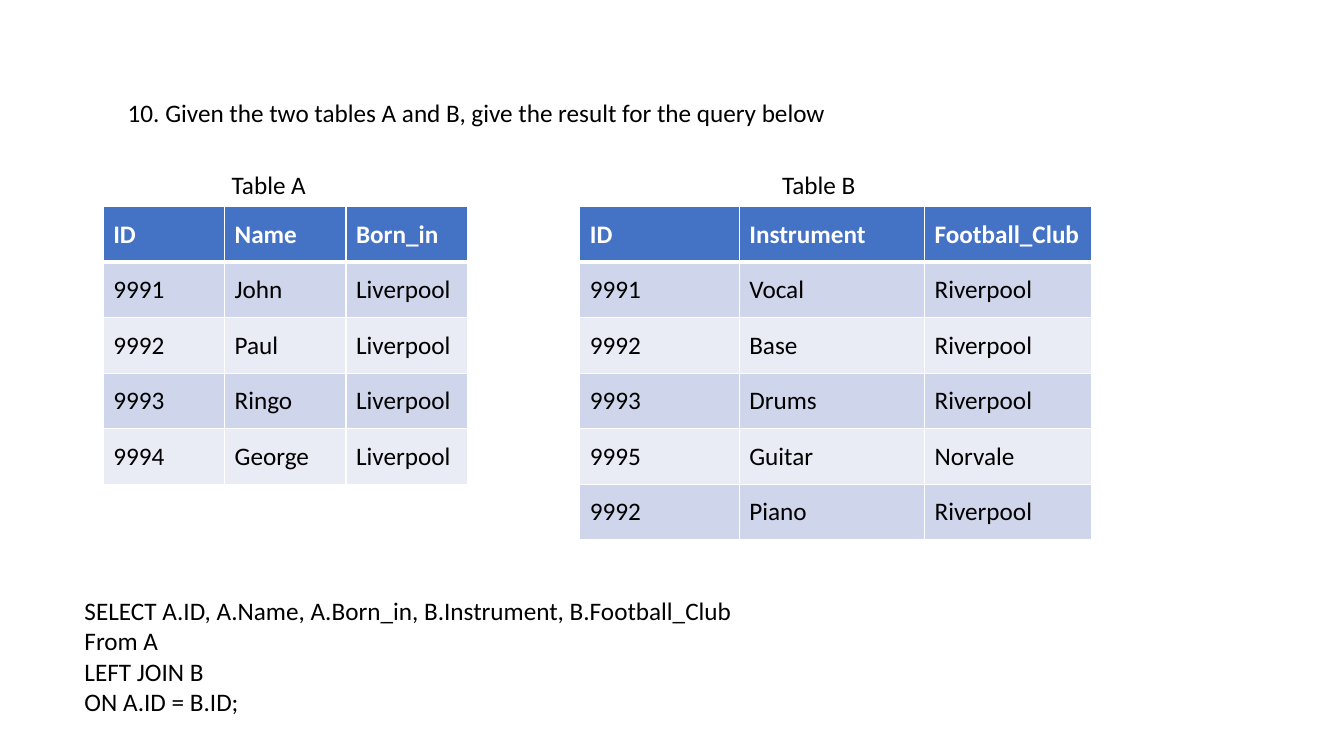
from dataclasses import dataclass

import pptx
import pptx.dml.color
import pptx.enum.text
import pptx.oxml.ns
import pptx.util
from lxml import etree

Cm = pptx.util.Cm
Pt = pptx.util.Pt

COLOURS = {
    "header": "4472C4",
    "odd_row": "CFD5EA",
    "even_row": "E9EBF5",
    "white": "FFFFFF",
    "black": "000000",
}
FONT_NAME = "Calibri"
FONT_SIZE = Pt(18)
ROW_HEIGHT = 1.4
TABLE_TOP = 5.21
LABEL_TOP = 4.14


@dataclass
class TextBlock:
    left: float
    top: float
    width: float
    height: float
    lines: list[str]


@dataclass
class DataTable:
    left: float
    column_widths: list[float]
    rows: list[list[str]]


TEXT_BLOCKS = [
    TextBlock(2.97, 2.34, 22.2, 1.02,
              ["10. Given the two tables A and B, give the result for the query below"]),
    TextBlock(5.59, LABEL_TOP, 4.62, 1.02, ["Table A"]),
    TextBlock(19.46, LABEL_TOP, 4.62, 1.02, ["Table B"]),
    TextBlock(1.88, 14.88, 22.2, 3.33, [
        "SELECT A.ID, A.Name, A.Born_in, B.Instrument, B.Football_Club",
        "From A",
        "LEFT JOIN B",
        "ON A.ID = B.ID;",
    ]),
]

DATA_TABLES = [
    DataTable(2.6, [3.06] * 3, [
        ["ID", "Name", "Born_in"],
        ["9991", "John", "Liverpool"],
        ["9992", "Paul", "Liverpool"],
        ["9993", "Ringo", "Liverpool"],
        ["9994", "George", "Liverpool"],
    ]),
    DataTable(14.61, [4.02, 4.67, 4.2], [
        ["ID", "Instrument", "Football_Club"],
        ["9991", "Vocal", "Riverpool"],
        ["9992", "Base", "Riverpool"],
        ["9993", "Drums", "Riverpool"],
        ["9995", "Guitar", "Norvale"],
        ["9992", "Piano", "Riverpool"],
    ]),
]


def colour(name: str) -> pptx.dml.color.RGBColor:
    return pptx.dml.color.RGBColor.from_string(COLOURS[name])


def style_paragraph(paragraph, colour_name: str, bold: bool = False) -> None:
    font = paragraph.font
    font.name, font.size, font.bold = FONT_NAME, FONT_SIZE, bold
    font.color.rgb = colour(colour_name)


def draw_text(slide, block: TextBlock) -> None:
    shape = slide.shapes.add_textbox(
        Cm(block.left), Cm(block.top), Cm(block.width), Cm(block.height))
    frame = shape.text_frame
    frame.word_wrap = True
    frame.auto_size = pptx.enum.text.MSO_AUTO_SIZE.SHAPE_TO_FIT_TEXT
    frame.text = "\n".join(block.lines)
    for paragraph in frame.paragraphs:
        style_paragraph(paragraph, "black")


def set_borders(cell, top: int, bottom: int) -> None:
    qn = pptx.oxml.ns.qn
    properties = cell._tc.get_or_add_tcPr()
    for side, points in {"L": 1, "R": 1, "T": top, "B": bottom}.items():
        line = etree.SubElement(properties, qn(f"a:ln{side}"), w=str(Pt(points)))
        fill = etree.SubElement(line, qn("a:solidFill"))
        etree.SubElement(fill, qn("a:srgbClr"), val=COLOURS["white"])


def draw_table(slide, data: DataTable) -> None:
    row_count, column_count = len(data.rows), len(data.column_widths)
    table = slide.shapes.add_table(
        row_count, column_count, Cm(data.left), Cm(TABLE_TOP),
        Cm(sum(data.column_widths)), Cm(ROW_HEIGHT * row_count)).table
    for column, width in zip(table.columns, data.column_widths):
        column.width = Cm(width)
    for row_index, values in enumerate(data.rows):
        table.rows[row_index].height = Cm(ROW_HEIGHT)
        is_header = row_index == 0
        band = "odd_row" if row_index % 2 else "even_row"
        for column_index, value in enumerate(values):
            cell = table.cell(row_index, column_index)
            cell.text = value
            cell.vertical_anchor = pptx.enum.text.MSO_ANCHOR.MIDDLE
            # A thick rule separates the header from the data
            set_borders(cell, top=3 if row_index == 1 else 1,
                        bottom=3 if is_header else 1)
            cell.fill.solid()
            cell.fill.fore_color.rgb = colour("header" if is_header else band)
            style_paragraph(cell.text_frame.paragraphs[0],
                            "white" if is_header else "black", is_header)


# Slide
presentation = pptx.Presentation()
presentation.slide_width = Cm(33.87)
presentation.slide_height = Cm(19.05)
slide = presentation.slides.add_slide(presentation.slide_layouts[6])

# Tables, then the question, table labels and query
for data_table in DATA_TABLES:
    draw_table(slide, data_table)
for text_block in TEXT_BLOCKS:
    draw_text(slide, text_block)

presentation.save("out.pptx")
